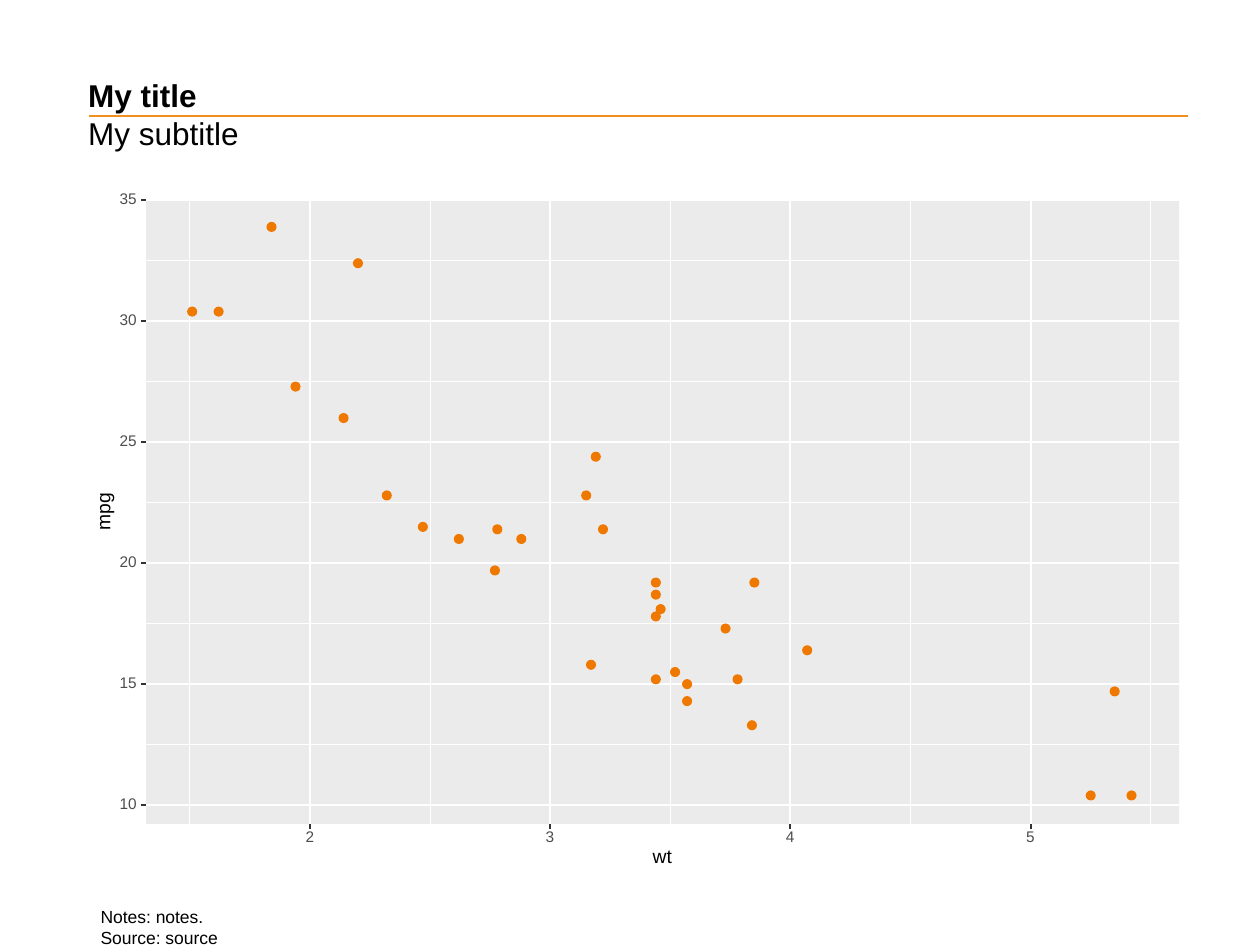
from lxml import etree
from pptx import Presentation
from pptx import util as u
from pptx.dml.color import RGBColor
from pptx.enum import shapes, text
from pptx.oxml.ns import qn

COLORS = {"rule": "F3901D", "point": "EF7900", "panel": "EBEBEB", "white": "FFFFFF",
          "tick": "333333", "label": "4D4D4D", "black": "000000"}

# Plot panel edges in inches
LEFT, TOP, RIGHT, BOTTOM = 1.16, 1.58, 9.36, 6.54
TICK = 0.04
DOT = 0.07

# Weight (wt) and fuel economy (mpg) of each car
CARS = [
    (2.62, 21), (2.88, 21), (2.32, 22.8), (3.22, 21.4), (3.44, 18.7), (3.46, 18.1),
    (3.57, 14.3), (3.19, 24.4), (3.15, 22.8), (3.44, 19.2), (3.44, 17.8), (4.07, 16.4),
    (3.73, 17.3), (3.78, 15.2), (5.25, 10.4), (5.42, 10.4), (5.35, 14.7), (2.2, 32.4),
    (1.62, 30.4), (1.84, 33.9), (2.47, 21.5), (3.52, 15.5), (3.44, 15.2), (3.84, 13.3),
    (3.85, 19.2), (1.94, 27.3), (2.14, 26), (1.51, 30.4), (3.17, 15.8), (2.77, 19.7),
    (3.57, 15), (2.78, 21.4),
]


def x_at(wt):
    return 2.46 + (wt - 2) * 5.72 / 3


def y_at(mpg):
    return 6.39 - (mpg - 10) * 0.96 / 5


class Slide:
    """Holds the style and the current slide."""
    font = "Arial"

    def __init__(self, prs):
        self.s = prs.slides.add_slide(prs.slide_layouts[6])

    def color(self, name):
        return RGBColor.from_string(COLORS[name])

    def shape(self, kind, x, y, w, h, fill, line=None, width=1.07):
        sp = self.s.shapes.add_shape(kind, *map(u.Inches, (x, y, w, h)))
        sp.shadow.inherit = False
        sp.fill.solid()
        sp.fill.fore_color.rgb = self.color(fill)
        if line:
            sp.line.color.rgb = self.color(line)
            sp.line.width = u.Pt(width)
        else:
            sp.line.fill.background()

    def line(self, x1, y1, x2, y2, color, width=1.07):
        c = self.s.shapes.add_connector(shapes.MSO_CONNECTOR.STRAIGHT,
                                        *map(u.Inches, (x1, y1, x2, y2)))
        c.line.color.rgb = self.color(color)
        c.line.width = u.Pt(width)
        etree.SubElement(c._element.spPr, qn("a:effectLst"))

    def text(self, x, y, w, h, lines, size, color="black", bold=False, wrap=True,
             anchor=text.MSO_ANCHOR.TOP, spacing=None, inset=(0, 0), rotation=0):
        sp = self.s.shapes.add_textbox(*map(u.Inches, (x, y, w, h)))
        sp.rotation = rotation
        tf = sp.text_frame
        tf.word_wrap = wrap
        tf.vertical_anchor = anchor
        tf.margin_left = tf.margin_right = u.Inches(inset[0])
        tf.margin_top = tf.margin_bottom = u.Inches(inset[1])
        p = tf.paragraphs[0]
        if spacing:
            p.line_spacing = spacing
        for i, words in enumerate(lines):
            if i:
                p.add_line_break()
            r = p.add_run()
            r.text = words
            r.font.name = self.font
            r.font.size = u.Pt(size)
            r.font.bold = bold
            r.font.color.rgb = self.color(color)

    def plot_label(self, cx, cy, w, h, words, size, color, rotation=0):
        self.text(cx - w / 2, cy - h / 2, w, h, [words], size, color, wrap=False,
                  anchor=text.MSO_ANCHOR.MIDDLE, spacing=u.Pt(size), rotation=rotation)

    def grid(self, wts, mpgs, width):
        for mpg in mpgs:
            self.line(LEFT, y_at(mpg), RIGHT, y_at(mpg), "white", width)
        for wt in wts:
            self.line(x_at(wt), BOTTOM, x_at(wt), TOP, "white", width)

    def point(self, wt, mpg):
        self.shape(shapes.MSO_SHAPE.OVAL, x_at(wt) - DOT / 2, y_at(mpg) - DOT / 2,
                   DOT, DOT, "point", "point", 0.71)


def main():
    prs = Presentation()
    prs.slide_width, prs.slide_height = u.Inches(10), u.Inches(7.5)
    s = Slide(prs)
    rect = shapes.MSO_SHAPE.RECTANGLE

    # Header
    s.line(0.71, 0.92, 9.43, 0.92, "rule", 1.5)
    s.text(0.7, 0.94, 8.74, 0.7, ["My subtitle"], 18, spacing=0.9)

    # Plot background and grid
    wt_ticks, mpg_ticks = range(2, 6), range(10, 36, 5)
    s.shape(rect, 0.7, 1.5, 8.74, 5.48, "white", "white")
    s.shape(rect, LEFT, TOP, RIGHT - LEFT, BOTTOM - TOP, "panel")
    s.grid([n + 0.5 for n in range(1, 6)], [n + 2.5 for n in mpg_ticks[:-1]], 0.53)
    s.grid(wt_ticks, mpg_ticks, 1.07)

    # Data points
    for wt, mpg in CARS:
        s.point(wt, mpg)

    # Axis ticks and labels
    for mpg in mpg_ticks:
        s.plot_label(1.02, y_at(mpg), 0.14, 0.09, str(mpg), 8.8, "label")
        s.line(LEFT - TICK, y_at(mpg), LEFT, y_at(mpg), "tick")
    for wt in wt_ticks:
        s.line(x_at(wt), BOTTOM + TICK, x_at(wt), BOTTOM, "tick")
        s.plot_label(x_at(wt), 6.65, 0.07, 0.09, str(wt), 8.8, "label")

    # Axis titles
    s.plot_label((LEFT + RIGHT) / 2, 6.81, 0.16, 0.11, "wt", 11, "black")
    s.plot_label(0.83, (TOP + BOTTOM) / 2, 0.3, 0.11, "mpg", 11, "black", rotation=270)

    # Title and footnote
    s.text(0.7, 0.22, 7.09, 0.68, ["My title"], 18, bold=True,
           anchor=text.MSO_ANCHOR.BOTTOM)
    s.text(0.7, 7.14, 8.74, 0.29, ["Notes: notes. ", "Source: source"], 10,
           inset=(0.1, 0.05))

    prs.save("out.pptx")


if __name__ == "__main__":
    main()
